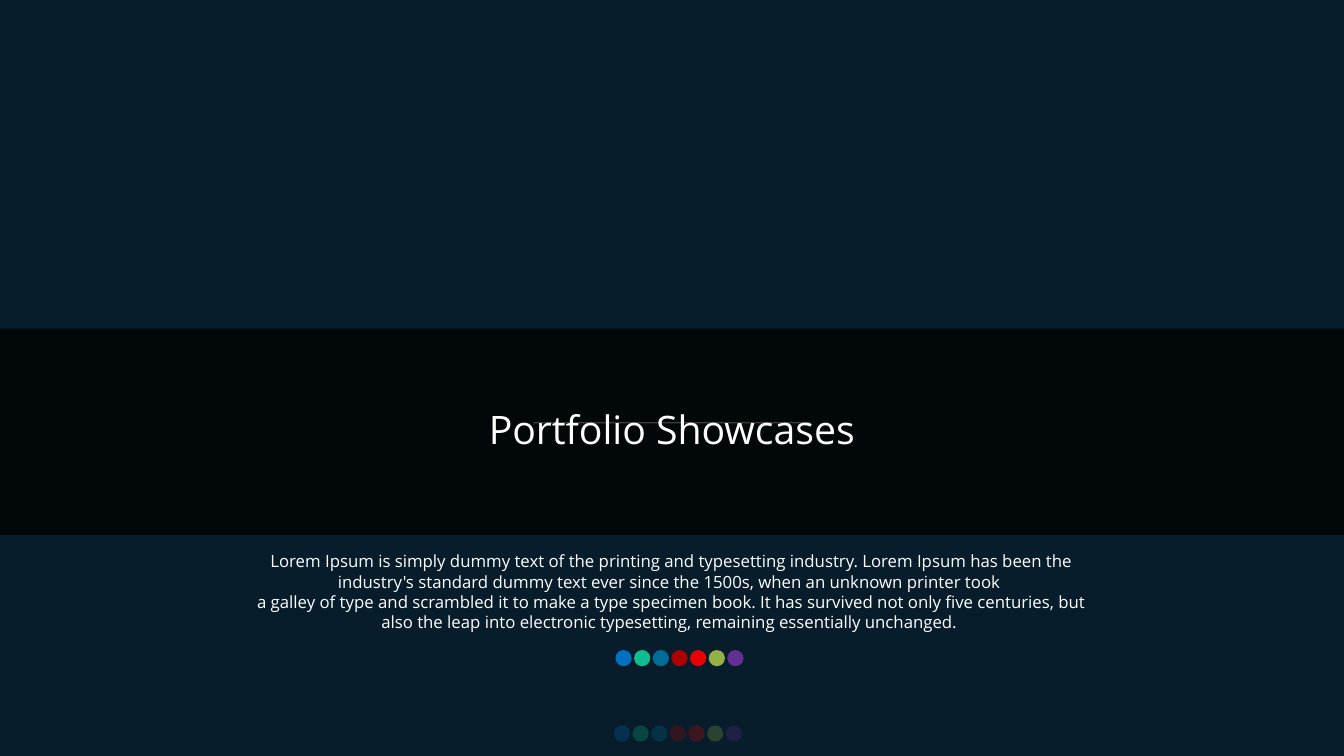
from lxml import etree
from pptx import Presentation
from pptx import util as u
from pptx.dml.color import RGBColor
from pptx.enum import shapes, text
from pptx.oxml.ns import qn

COLORS = {
    "background": "0C2036",
    "overlay": "071D28",
    "band": "000000",
    "rule": "F2F2F2",
    "text": "FFFFFF",
    "blue": "0070C0",
    "green": "10CF9B",
    "teal": "0076A3",
    "maroon": "C00000",
    "red": "FF0000",
    "olive": "A5C249",
    "purple": "7030A0",
}
DOT_COLORS = ["blue", "green", "teal", "maroon", "red", "olive", "purple"]
DOT_SIZE = 0.41
DOT_PITCH = 0.47
TITLE = "Portfolio Showcases"
BODY = [
    "Lorem Ipsum is simply dummy text of the printing and typesetting industry. "
    "Lorem Ipsum has been the industry's standard dummy text ever since the 1500s, "
    "when an unknown printer took ",
    "a galley of type and scrambled it to make a type specimen book. "
    "It has survived not only five centuries, but also the leap into electronic "
    "typesetting, remaining essentially unchanged. ",
]


class SlideBuilder:
    font_name = "Open Sans"

    def __init__(self, slide):
        self.slide = slide

    def color(self, name):
        return RGBColor.from_string(COLORS[name])

    def background(self, color):
        fill = self.slide.background.fill
        fill.solid()
        fill.fore_color.rgb = self.color(color)

    def shape(self, kind, box, color, opacity=100):
        shape = self.slide.shapes.add_shape(kind, *map(u.Cm, box))
        shape.shadow.inherit = False
        shape.line.fill.background()
        shape.fill.solid()
        shape.fill.fore_color.rgb = self.color(color)
        if opacity < 100:
            color_element = shape.element.spPr.find(qn("a:solidFill"))[0]
            alpha = etree.SubElement(color_element, qn("a:alpha"))
            alpha.set("val", str(opacity * 1000))

    def rectangle(self, box, color, opacity=100):
        self.shape(shapes.MSO_SHAPE.RECTANGLE, box, color, opacity)

    def dots(self, left, top):
        for index, color in enumerate(DOT_COLORS):
            box = (left + index * DOT_PITCH, top, DOT_SIZE, DOT_SIZE)
            self.shape(shapes.MSO_SHAPE.OVAL, box, color, 90 if index else 100)

    def text(self, box, lines, size, line_spacing=1.0, margins=(0.25, 0.13)):
        frame = self.slide.shapes.add_textbox(*map(u.Cm, box)).text_frame
        horizontal, vertical = map(u.Cm, margins)
        frame_format = {
            "word_wrap": True,
            "auto_size": text.MSO_AUTO_SIZE.SHAPE_TO_FIT_TEXT,
            "margin_left": horizontal,
            "margin_right": horizontal,
            "margin_top": vertical,
            "margin_bottom": vertical,
        }
        for name, value in frame_format.items():
            setattr(frame, name, value)
        paragraph = frame.paragraphs[0]
        paragraph.alignment = text.PP_ALIGN.CENTER
        paragraph.line_spacing = line_spacing
        for index, line in enumerate(lines):
            if index:
                paragraph.add_line_break()
            run = paragraph.add_run()
            run.text = line
            font_format = {"name": self.font_name, "size": u.Pt(size)}
            for name, value in font_format.items():
                setattr(run.font, name, value)
            run.font.color.rgb = self.color("text")


def main():
    presentation = Presentation()
    presentation.slide_width = u.Cm(33.87)
    presentation.slide_height = u.Cm(19.05)
    slide = presentation.slides.add_slide(presentation.slide_layouts[6])
    builder = SlideBuilder(slide)
    builder.background("background")
    builder.dots(15.47, 18.28)
    builder.rectangle((-0.05, 0, 33.92, 19.05), "overlay", 75)
    builder.rectangle((13.44, 10.64, 7, 0.03), "rule")
    builder.text((5.92, 13.74, 22.02, 2.39), BODY, 12, margins=(0.33, 0.15))
    builder.rectangle((-0.05, 8.28, 33.92, 5.2), "band", 75)
    builder.text((6.15, 10.21, 21.56, 1.35), [TITLE], 28, line_spacing=0.9)
    builder.dots(15.51, 16.38)
    presentation.save("out.pptx")


if __name__ == "__main__":
    main()
